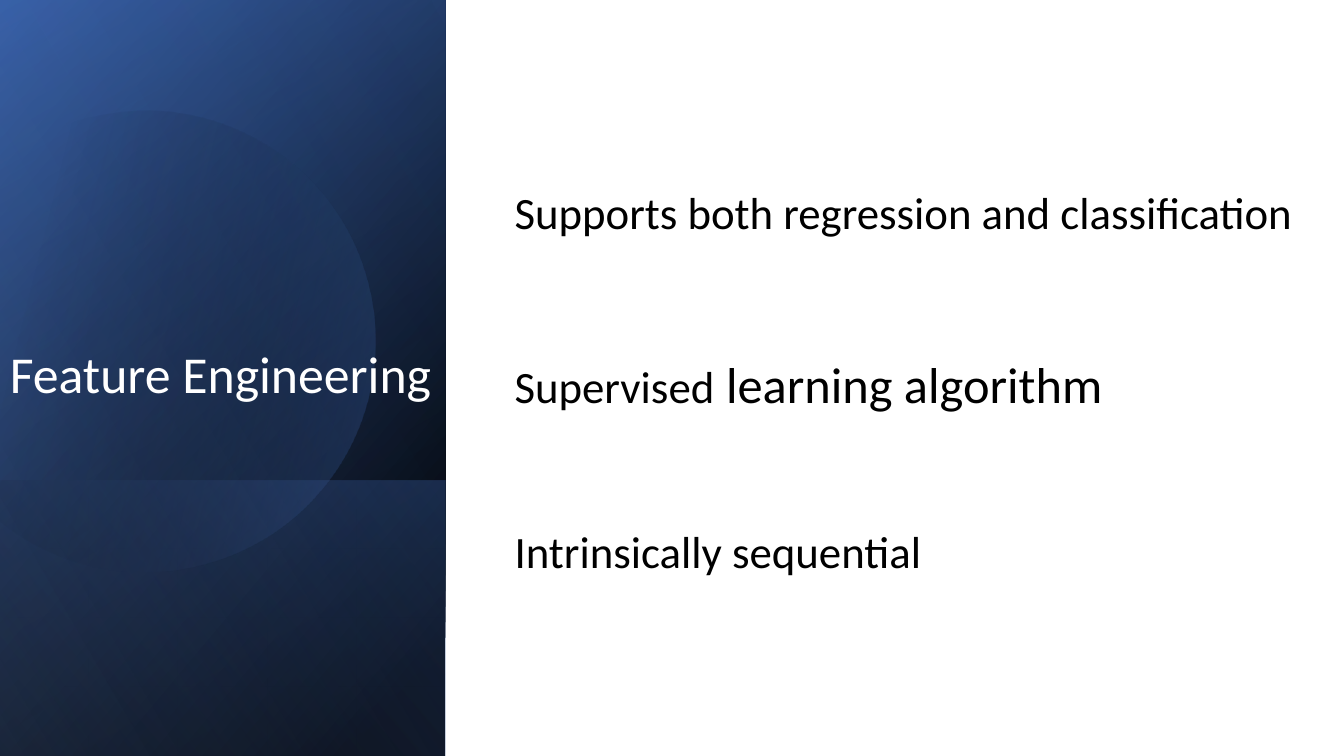
from math import cos, radians, sin
from pptx import Presentation
from pptx.dml.color import RGBColor as RGB
from pptx.enum.shapes import MSO_SHAPE as SHAPE
from pptx.enum.text import MSO_ANCHOR as ANCHOR, MSO_AUTO_SIZE as AUTO
from pptx.oxml import parse_xml
from pptx.oxml.ns import nsdecls, qn
from pptx.util import Inches, Pt

C = {"white": "FFFFFF", "black": "000000", "navy": "2F5597", "blue": "4472C4", "light": "8FAADC"}
W, H = 13.33, 7.5
PANEL = W * 0.3315
STRIP = H * 0.365

prs = Presentation()
prs.slide_width, prs.slide_height = Inches(W), Inches(H)
s = prs.slides.add_slide(prs.slide_layouts[6])


def add_gradient(sp, angle, stops):
    sp.shadow.inherit = False
    sp.line.fill.background()
    sp.fill.background()
    gs = "".join(
        f'<a:gs pos="{pos * 1000}"><a:srgbClr val="{C[color]}">'
        f'<a:alpha val="{alpha * 1000}"/></a:srgbClr></a:gs>'
        for pos, color, alpha in stops
    )
    grad = parse_xml(
        f'<a:gradFill {nsdecls("a")} rotWithShape="1"><a:gsLst>{gs}</a:gsLst>'
        f'<a:lin ang="{angle * 60000}" scaled="0"/></a:gradFill>'
    )
    spPr = sp._element.spPr
    spPr.replace(spPr.find(qn("a:noFill")), grad)


def add_text(parent, runs, x, y, w, h, color="black", anchor=ANCHOR.TOP, after=6, fit=AUTO.SHAPE_TO_FIT_TEXT):
    tf = parent.shapes.add_textbox(Inches(x), Inches(y), Inches(w), Inches(h)).text_frame
    tf.word_wrap = True
    tf.auto_size = fit
    tf.vertical_anchor = anchor
    p = tf.paragraphs[0]
    p.space_after = Pt(after)
    for text, size in runs:
        r = p.add_run()
        r.text = text
        r.font.name = "Calibri"
        r.font.size = Pt(size)
        r.font.color.rgb = RGB.from_string(C[color])


page = s.shapes.add_shape(SHAPE.RECTANGLE, 0, 0, prs.slide_width, prs.slide_height)
page.shadow.inherit = False
page.line.fill.background()
page.fill.solid()
page.fill.fore_color.rgb = RGB.from_string(C["white"])

layers = [
    (H, 50, [(8, "black", 100), (100, "navy", 100)]),
    (H, 30, [(0, "black", 0), (99, "blue", 46)]),
    (STRIP, 130, [(2, "blue", 29), (100, "black", 30)]),
    (H, 120, [(0, "black", 0), (99, "light", 11)]),
]
for height, angle, stops in layers:
    left, top = (PANEL - height) / 2, H - (height + PANEL) / 2
    sp = s.shapes.add_shape(SHAPE.RECTANGLE, Inches(left), Inches(top), Inches(height), Inches(PANEL))
    sp.rotation = 90
    sp._element.spPr.find(qn("a:xfrm")).set("flipH", "1")
    add_gradient(sp, angle, stops)
sheen = sp

X, Y, DW, DH, TURN = -0.55, 1.06, 4.27, 4.57, 343.9
disc_outline = [
    ("moveTo", [(1.49, 1.1)]),
    ("cubicBezTo", [(2.46, 1.12), (3.35, 1.77), (3.63, 2.75)]),
    ("cubicBezTo", [(3.98, 3.97), (3.28, 5.23), (2.07, 5.58)]),
    ("cubicBezTo", [(1.31, 5.8), (0.53, 5.61), (-0.03, 5.14)]),
    ("lnTo", [(-0.15, 5.03)]),
    ("lnTo", [(-0.15, 1.75)]),
    ("lnTo", [(0, 1.61)]),
    ("cubicBezTo", [(0.23, 1.42), (0.5, 1.28), (0.8, 1.19)]),
    ("cubicBezTo", [(1.03, 1.13), (1.26, 1.1), (1.49, 1.1)]),
]
ca, sa = cos(radians(-TURN)), sin(radians(-TURN))
segments = ""
for tag, points in disc_outline:
    pts = ""
    for x, y in points:
        dx, dy = x - X - DW / 2, y - Y - DH / 2
        px, py = DW / 2 + dx * ca - dy * sa, DH / 2 + dx * sa + dy * ca
        pts += f'<a:pt x="{Inches(px)}" y="{Inches(py)}"/>'
    segments += f"<a:{tag}>{pts}</a:{tag}>"
outline = s.shapes.build_freeform(Inches(X), Inches(Y))
outline.add_line_segments([(Inches(X + DW), Inches(Y)), (Inches(X + DW), Inches(Y + DH))])
disc = outline.convert_to_shape()
paths = disc._element.spPr.find(qn("a:custGeom")).find(qn("a:pathLst"))
paths.replace(paths[0], parse_xml(
    f'<a:path {nsdecls("a")} w="{Inches(DW)}" h="{Inches(DH)}">{segments}<a:close/></a:path>'
))
disc.rotation = TURN
add_gradient(disc, 30, [(29, "black", 0), (100, "blue", 43)])
sheen._element.addprevious(disc._element)

COL = W * 0.3755
facts = s.shapes.add_group_shape()
add_text(facts, [("Supervised", 32), (" learning algorithm", 36)], COL, 3.24, W * 0.48, 1.12,
         anchor=ANCHOR.MIDDLE, fit=AUTO.NONE)
add_text(facts, [("Intrinsically sequential", 32)], COL, 5.15, W * 0.454, 0.64)
add_text(facts, [("Supports both regression and classification", 32)], COL, 1.78, W * 0.603, 0.64)
add_text(s, [("Feature Engineering", 37)], 0, 3.34, W * 0.335, 0.72, color="white", after=0)

prs.save("out.pptx")
